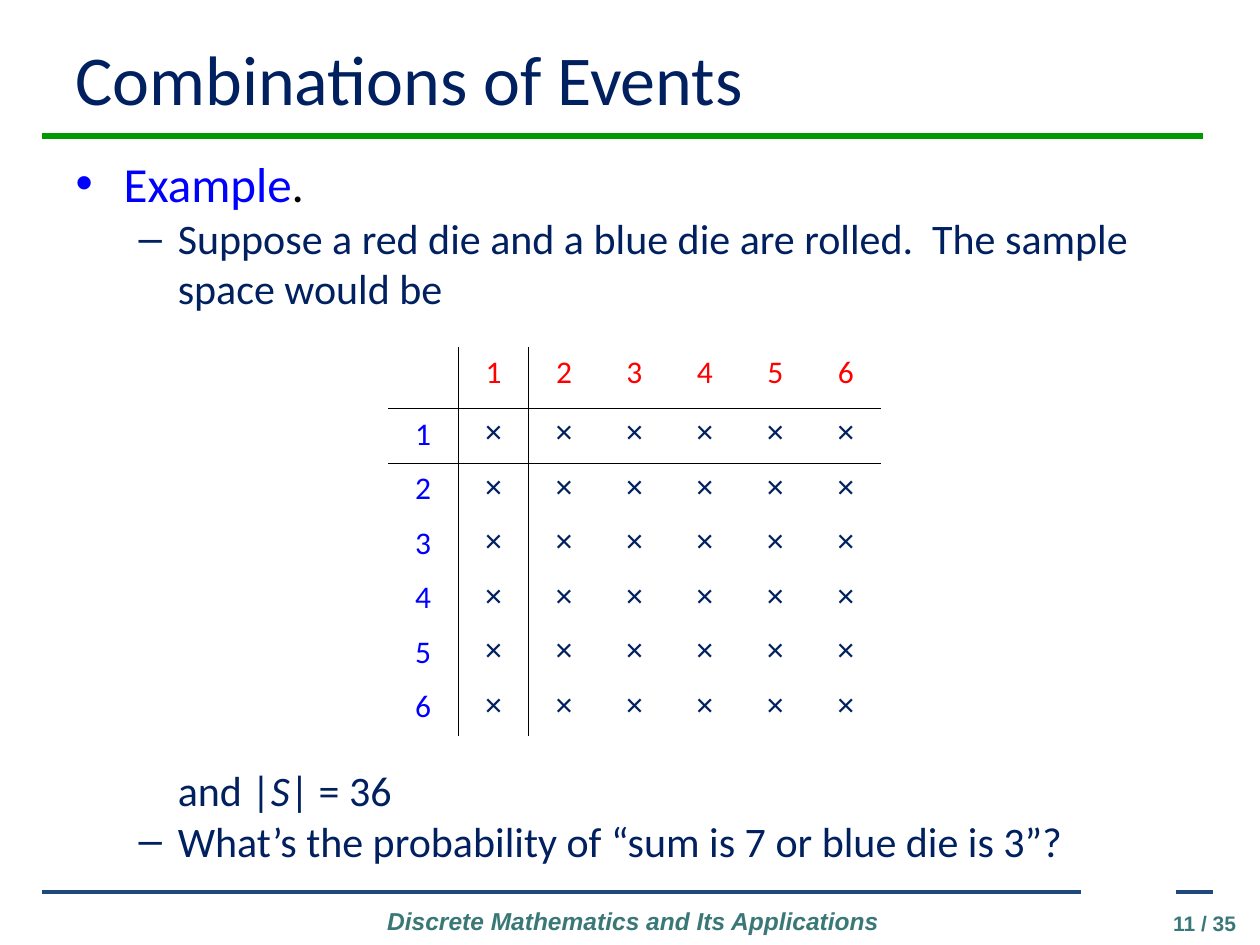
from lxml.etree import SubElement
from pptx import Presentation
from pptx.dml.color import RGBColor
from pptx.enum.shapes import MSO_CONNECTOR
from pptx.enum.text import MSO_ANCHOR, MSO_AUTO_SIZE, PP_ALIGN
from pptx.oxml.ns import qn
from pptx.util import Cm, Pt

NAVY, BLUE, RED, BLACK = "002060", "0000FF", "FF0000", "000000"
GREEN, STEEL, TEAL = "009900", "1F497D", "3A7877"

TITLE = "Combinations of Events"
# Paragraphs: bullet, bullet colour, left margin, first-line indent, runs
INTRO = [
    ("•", BLUE, 0.97, -0.97, [
        ("Example", {"size": 28, "color": BLUE}),
        (".", {"size": 28, "color": BLACK})]),
    ("–", NAVY, 2.06, -0.79, [
        ("Suppose a red die and a blue die are rolled.  "
         "The sample space would be", {})]),
]
QUESTION = [
    (None, NAVY, 2.06, 0, [
        ("and |", {}), ("S", {"italic": True}), ("| = 36", {})]),
    ("–", NAVY, 2.06, -0.79, [
        ("What’s the probability of “sum is 7 or blue die is 3”?", {})]),
]
BODY = {"name": "Calibri", "size": 24, "color": NAVY}
# Left, top, width, height
TITLE_BOX = (1.27, 0.58, 22.86, 1.96)
INTRO_BOX = (1.27, 2.97, 23.7, 3.48)
QUESTION_BOX = (1.27, 15.29, 23.7, 2.29)

FOOT = {"name": "Arial", "color": TEAL, "bold": True}
FOOTERS = [
    ("Discrete Mathematics and Its Applications", (7.19, 18.14, 11.15, 0.86),
     PP_ALIGN.CENTER, {"size": 14, "italic": True}),
    ("11 / 35", (22.58, 18.24, 2.59, 0.61), PP_ALIGN.RIGHT, {"size": 12}),
]
# Start x, end x, y, colour, width in points
RULES = [
    (0.84, 24.26, 2.74, GREEN, 3),
    (0.84, 21.79, 17.98, STEEL, 2.25),
    (23.7, 24.46, 17.98, STEEL, 2.25),
]

FACES = [str(n) for n in range(1, 7)]
GRID = [[""] + FACES] + [[face] + ["×"] * len(FACES) for face in FACES]
GRID_LEFT, GRID_TOP, COL, HEAD, ROW = 7.82, 6.99, 1.42, 1.25, 1.1
NO_STYLE = "{2D5ABB26-0587-4C30-8999-92F81FD0307C}"


def rgb(code):
    return RGBColor.from_string(code)


def style(font, form):
    for key, value in form.items():
        if key == "color":
            font.color.rgb = rgb(value)
        else:
            setattr(font, key, Pt(value) if key == "size" else value)


def write(para, text, form):
    run = para.add_run()
    run.text = text
    style(run.font, form)


def place(shape, box):
    shape.left, shape.top, shape.width, shape.height = map(Cm, box)


def fill_list(holder, box, items):
    place(holder, box)
    frame = holder.text_frame
    frame.auto_size = MSO_AUTO_SIZE.SHAPE_TO_FIT_TEXT
    for i, (mark, tint, left, indent, runs) in enumerate(items):
        para = frame.add_paragraph() if i else frame.paragraphs[0]
        para.level = 0 if mark == "•" else 1
        props = para._p.get_or_add_pPr()
        props.set("marL", str(Cm(left)))
        props.set("indent", str(Cm(indent)))
        if mark:
            SubElement(SubElement(props, qn("a:buClr")),
                       qn("a:srgbClr")).set("val", tint)
            SubElement(props, qn("a:buFont")).set("typeface", "Arial")
            SubElement(props, qn("a:buChar")).set("char", mark)
        else:
            SubElement(props, qn("a:buNone"))
        para.space_before = Pt(0)
        for text, form in runs:
            write(para, text, BODY | form)


def add_rule(slide, start, end, y, tint, width):
    rule = slide.shapes.add_connector(
        MSO_CONNECTOR.STRAIGHT, Cm(start), Cm(y), Cm(end), Cm(y))
    rule.line.color.rgb = rgb(tint)
    rule.line.width = Pt(width)
    SubElement(rule._element.spPr, qn("a:effectLst"))


def add_edges(cell, sides):
    props = cell._tc.get_or_add_tcPr()
    for side in sides:
        line = SubElement(props, qn("a:ln" + side), w=str(Pt(0.45)))
        SubElement(SubElement(line, qn("a:solidFill")),
                   qn("a:srgbClr")).set("val", BLACK)


def add_grid(slide):
    rows, cols = len(GRID), len(GRID[0])
    table = slide.shapes.add_table(
        rows, cols, Cm(GRID_LEFT), Cm(GRID_TOP),
        Cm(COL * cols), Cm(HEAD + ROW * (rows - 1))).table
    table.first_row = table.horz_banding = False
    table._tbl.tblPr.find(qn("a:tableStyleId")).text = NO_STYLE
    for col in table.columns:
        col.width = Cm(COL)
    for r, line in enumerate(GRID):
        table.rows[r].height = Cm(ROW if r else HEAD)
        for c, text in enumerate(line):
            cell = table.cell(r, c)
            edges = {"L": c == 1, "R": c == 0, "T": r == 1, "B": r == 0}
            add_edges(cell, [side for side, on in edges.items() if on])
            cell.fill.background()
            if text:
                tint = RED if r == 0 else BLUE if c == 0 else NAVY
                face = "Arial" if r and c else "Calibri"
                para = cell.text_frame.paragraphs[0]
                para.alignment = PP_ALIGN.CENTER
                write(para, text, {"name": face, "size": 18, "color": tint})


def main():
    deck = Presentation()
    deck.slide_width, deck.slide_height = Cm(25.4), Cm(19.05)
    slide = deck.slides.add_slide(deck.slide_layouts.get_by_name("Two Content"))
    title, intro, query = slide.placeholders

    for rule in RULES:
        add_rule(slide, *rule)
    for text, box, align, form in FOOTERS:
        frame = slide.shapes.add_textbox(*map(Cm, box)).text_frame
        frame.word_wrap = True
        frame.paragraphs[0].alignment = align
        write(frame.paragraphs[0], text, FOOT | form)

    place(title, TITLE_BOX)
    frame = title.text_frame
    frame.auto_size = MSO_AUTO_SIZE.SHAPE_TO_FIT_TEXT
    frame.vertical_anchor = MSO_ANCHOR.MIDDLE
    frame.paragraphs[0].alignment = PP_ALIGN.LEFT
    write(frame.paragraphs[0], TITLE, BODY | {"size": 40})

    fill_list(intro, INTRO_BOX, INTRO)
    add_grid(slide)
    fill_list(query, QUESTION_BOX, QUESTION)
    deck.save("out.pptx")


if __name__ == "__main__":
    main()
